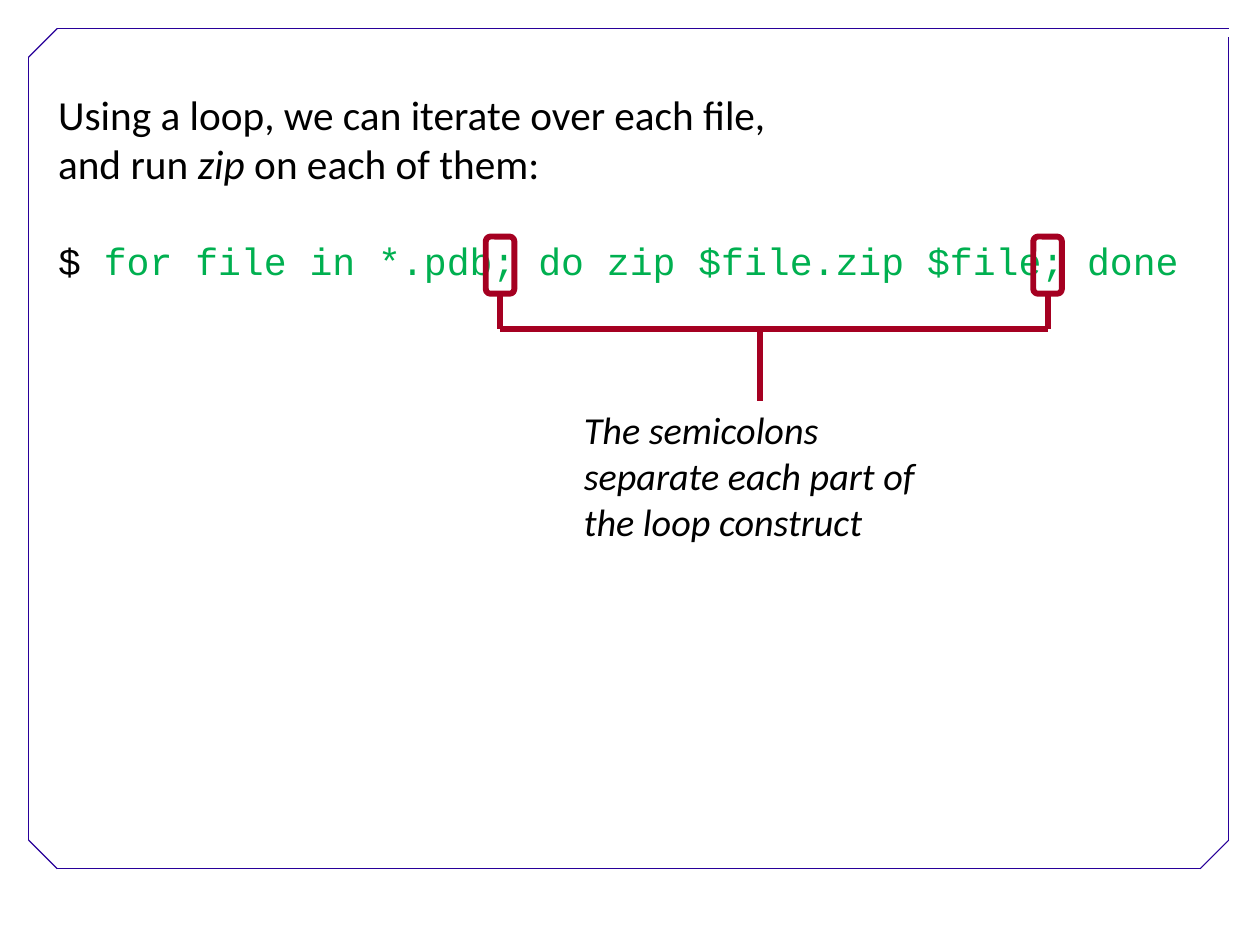
from pptx import Presentation
from pptx.dml.color import RGBColor
from pptx.enum.shapes import MSO_CONNECTOR, MSO_SHAPE
from pptx.enum.text import PP_ALIGN
from pptx.oxml.ns import qn
from pptx.util import Cm, Inches, Pt
from lxml import etree

STRAIGHT = MSO_CONNECTOR.STRAIGHT
ROUNDED = MSO_SHAPE.ROUNDED_RECTANGLE
LEFT = PP_ALIGN.LEFT

BLACK = RGBColor(0x00, 0x00, 0x00)
GREEN = RGBColor(0x00, 0xB0, 0x50)
RED = RGBColor(0xA5, 0x00, 0x21)
INDIGO = RGBColor(0x28, 0x00, 0x99)

# Each paragraph: space before, then runs of (text, font, size, colour, italic)
LOOP_TEXT = [
    (0, [("Using a loop, we can iterate over each file,", "Calibri", 26, BLACK, False)]),
    (0, [("and run ", "Calibri", 26, BLACK, False),
         ("zip", "Calibri", 26, BLACK, True),
         (" on each of them:", "Calibri", 26, BLACK, False)]),
    (31, [("$", "Courier New", 24, BLACK, False),
          (" for file in *.pdb; do zip $file.zip $file; done",
           "Courier New", 24, GREEN, False)]),
]
NOTE_TEXT = [
    (0, [("The semicolons separate each part of the loop construct",
          "Calibri", 24, BLACK, True)]),
]

WIDTH, HEIGHT = Cm(28), Cm(21)
CELL = 0.25  # grid step: the frame's margin, its cut corners and the marker width

# Frame edges in grid cells; the top right corner stays open
FRAME = [
    ((2, 30.4), (42, 30.4)),
    ((1, 29.4), (1, 2)),
    ((2, 1), (43, 1)),
    ((43, 29.4), (43, 1.28)),
    ((1, 2), (2, 1)),
    ((42, 30.4), (43, 29.4)),
    ((1, 29.4), (2, 30.4)),
]
SEMICOLON_COLUMNS = (17, 36.16)
MARKER_ROW, MARKER_ROWS = 8.28, 2
BRACKET_ROW = 11.52
STEM_COLUMN, STEM_END_ROW = 26.6, 14.04


def cells(count):
    return Inches(count * CELL)


def add_line(slide, start, end, color, width):
    line = slide.shapes.add_connector(STRAIGHT, *map(cells, start + end))
    line.line.color.rgb = color
    line.line.width = Pt(width)
    etree.SubElement(line._element.spPr, qn("a:effectLst"))
    return line


def add_text(slide, left, top, width, height, paragraphs):
    """Add a text box placed in inches."""
    box = slide.shapes.add_textbox(*map(Inches, (left, top, width, height)))
    frame = box.text_frame
    frame.word_wrap = True
    for index, (space_before, runs) in enumerate(paragraphs):
        paragraph = frame.add_paragraph() if index else frame.paragraphs[0]
        paragraph.alignment = LEFT
        if space_before:
            paragraph.space_before = Pt(space_before)
        for text, font, size, color, italic in runs:
            run = paragraph.add_run()
            run.text = text
            run.font.name = font
            run.font.size = Pt(size)
            run.font.color.rgb = color
            run.font.italic = italic


def add_marker(slide, column):
    """Outline one semicolon and drop a line from it to the bracket."""
    marker = slide.shapes.add_shape(
        ROUNDED, *map(cells, (column, MARKER_ROW, 1, MARKER_ROWS)))
    marker.shadow.inherit = False
    marker.fill.background()
    marker.line.color.rgb = RED
    marker.line.width = Pt(3.75)
    center = column + 0.5
    drop = add_line(slide, (center, MARKER_ROW + MARKER_ROWS),
                    (center, BRACKET_ROW), RED, 3.75)
    drop.begin_connect(marker, 2)
    return center


def main():
    presentation = Presentation()
    presentation.slide_width = WIDTH
    presentation.slide_height = HEIGHT
    slide = presentation.slides.add_slide(presentation.slide_layouts[6])

    for start, end in FRAME:
        add_line(slide, start, end, INDIGO, 0.75)
    add_text(slide, 0.41, 0.73, 10.2, 1.8, LOOP_TEXT)
    add_text(slide, 5.01, 3.51, 3.28, 1.3, NOTE_TEXT)

    first, last = [add_marker(slide, column) for column in SEMICOLON_COLUMNS]
    add_line(slide, (first, BRACKET_ROW), (last, BRACKET_ROW), RED, 3.75)
    add_line(slide, (STEM_COLUMN, BRACKET_ROW), (STEM_COLUMN, STEM_END_ROW), RED, 3.75)

    presentation.save("out.pptx")


if __name__ == "__main__":
    main()
